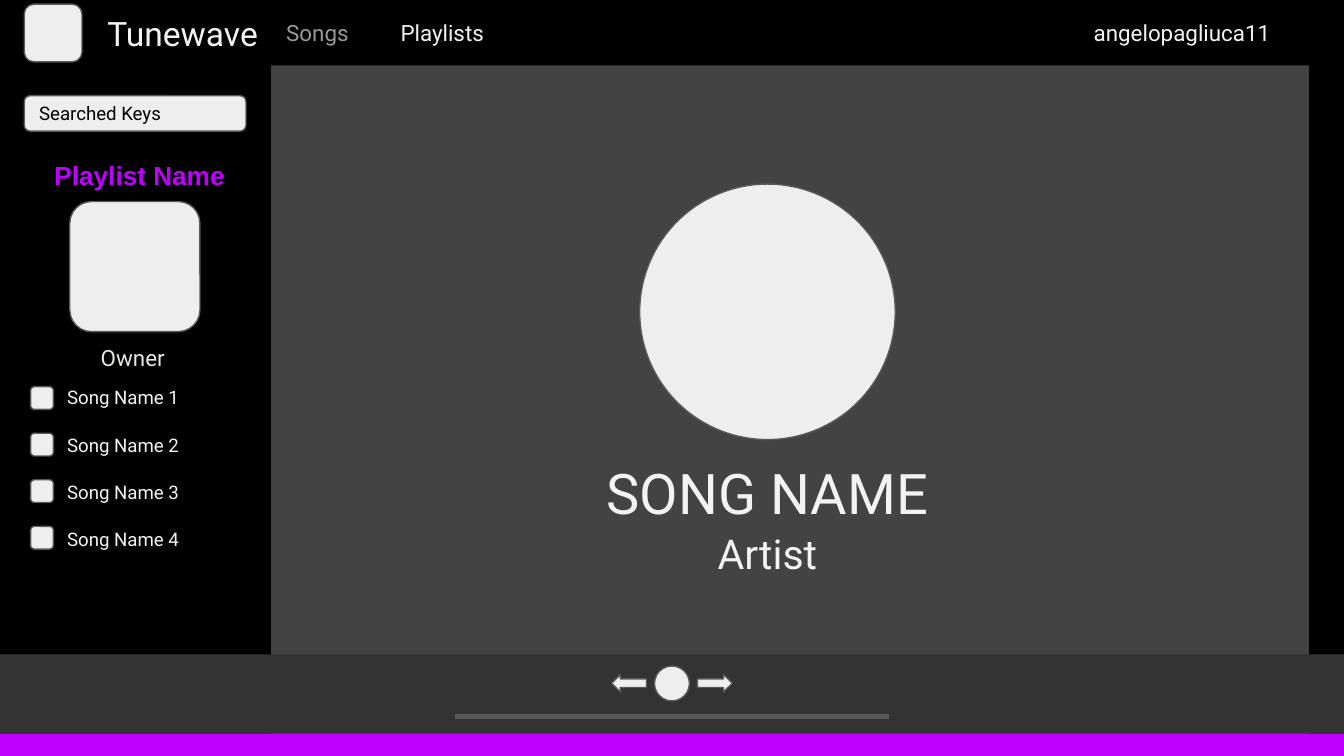
from collections import namedtuple
from dataclasses import dataclass

from lxml.etree import SubElement
from pptx import Presentation
from pptx.dml.color import RGBColor as Color
from pptx.enum.shapes import MSO_CONNECTOR as Line, MSO_SHAPE as Kind
from pptx.enum.text import MSO_ANCHOR as Anchor, MSO_AUTO_SIZE as Fit, PP_ALIGN as Align
from pptx.oxml.ns import qn
from pptx.util import Cm, Pt

Box = namedtuple("Box", "left top width height")
Style = namedtuple("Style", "size color font bold", defaults=("Roboto", False))


@dataclass(frozen=True)
class Theme:
    black: str = "000000"
    canvas: str = "434343"
    player: str = "333333"
    accent: str = "BF00FF"
    light: str = "EEEEEE"
    outline: str = "595959"
    thin: float = 0.75
    thick: float = 3
    brand: Style = Style(18, "F3F3F3")
    tab: Style = Style(12, "F3F3F3")
    muted_tab: Style = Style(12, "999999")
    search: Style = Style(10, "000000")
    playlist: Style = Style(14, "BF00FF", "Arial", True)
    owner: Style = Style(12, "E8E7E3")
    song: Style = Style(10, "F3F3F3")
    headline: Style = Style(30, "F3F3F3")
    artist: Style = Style(22, "F3F3F3")


THEME = Theme()


def set_all(target, values):
    for name, value in values.items():
        setattr(target, name, value)


def within(area, left, top, width, height):
    return Box(area.left + left, area.top + top, width, height)


def lengths(box):
    return [Cm(value) for value in box]


def paint(shape, color):
    shape.fill.solid()
    shape.fill.fore_color.rgb = Color.from_string(color)


def stroke(line, width):
    line.color.rgb = Color.from_string(THEME.outline)
    line.width = Pt(width)


def add_panel(page, box, color):
    panel = page.shapes.add_shape(Kind.RECTANGLE, *lengths(box))
    panel.shadow.inherit = False
    paint(panel, color)
    panel.line.fill.background()


def add_part(page, kind, box):
    part = page.shapes.add_shape(kind, *lengths(box))
    part.shadow.inherit = False
    paint(part, THEME.light)
    stroke(part.line, THEME.thin)
    return part


def write(shape, lines, style, align=Align.LEFT, anchor=Anchor.MIDDLE, gap=0):
    frame = shape.text_frame
    sides = ("margin_left", "margin_top", "margin_right", "margin_bottom")
    set_all(frame, {"word_wrap": True, "auto_size": Fit.NONE, "vertical_anchor": anchor,
                    **dict.fromkeys(sides, Cm(0.25))})
    for index, line in enumerate(lines):
        para = frame.add_paragraph() if index else frame.paragraphs[0]
        set_all(para, {"alignment": align, "space_before": Pt(0), "space_after": Pt(gap)})
        span = para.add_run()
        span.text = line
        set_all(span.font, {"size": Pt(style.size), "name": style.font, "bold": style.bold})
        span.font.color.rgb = Color.from_string(style.color)


def add_label(page, box, text, style, **options):
    write(page.shapes.add_textbox(*lengths(box)), [text], style, **options)


def fill_placeholder(holder, box, lines, style, **options):
    set_all(holder, dict(zip(Box._fields, lengths(box))))
    holder.element.getparent().append(holder.element)
    write(holder, lines, style, **options)
    for para in holder.text_frame.paragraphs:
        layout = para._p.get_or_add_pPr()
        layout.set("marL", "0")
        layout.set("indent", "0")
        SubElement(layout, qn("a:buNone"))


def build_header(page, area):
    add_panel(page, area, THEME.black)
    add_part(page, Kind.ROUNDED_RECTANGLE, within(area, 0.46, 0.08, 1.09, 1.09))
    labels = [
        (1.78, 7.34, "Tunewave", THEME.brand),
        (5.16, 2.13, "Songs", THEME.muted_tab),
        (7.32, 2.13, "Playlists", THEME.tab),
        (20.42, 4.52, "angelopagliuca11", THEME.tab),
    ]
    for left, width, text, style in labels:
        add_label(page, within(area, left, 0.08, width, 1.09), text, style)


def build_sidebar(page, area):
    search = add_part(page, Kind.ROUNDED_RECTANGLE, within(area, 0.46, 1.81, 4.19, 0.67))
    write(search, ["Searched Keys"], THEME.search)
    add_label(page, within(area, 0.38, 2.77, 4.52, 0.66), "Playlist Name",
              THEME.playlist, align=Align.CENTER, anchor=Anchor.TOP)
    add_part(page, Kind.ROUNDED_RECTANGLE, within(area, 1.32, 3.81, 2.46, 2.46))
    add_label(page, within(area, 1.52, 6.25, 1.98, 0.84), "Owner",
              THEME.owner, align=Align.CENTER, anchor=Anchor.TOP)
    songs = [f"Song Name {number}" for number in range(1, 5)]
    for index in range(len(songs)):
        add_part(page, Kind.ROUNDED_RECTANGLE,
                 within(area, 0.58, 7.31 + index * 0.88, 0.43, 0.43))
    fill_placeholder(page.placeholders[1], within(area, 1.02, 7.05, 2.95, 3.6), songs,
                     THEME.song, anchor=Anchor.TOP, gap=13.25)


def build_stage(page, area):
    add_part(page, Kind.OVAL, within(area, 6.97, 2.24, 4.83, 4.83))
    fill_placeholder(page.shapes.title, within(area, 5.97, 7.12, 6.83, 1.9),
                     ["SONG NAME"], THEME.headline, align=Align.CENTER)
    add_label(page, within(area, 5.97, 8.67, 6.83, 1.09), "Artist",
              THEME.artist, align=Align.CENTER)


def build_player(page, area):
    add_panel(page, area, THEME.player)
    middle = area.width / 2
    add_part(page, Kind.OVAL, within(area, middle - 0.33, 0.22, 0.66, 0.66))
    for kind, left in ((Kind.LEFT_ARROW, -1.14), (Kind.RIGHT_ARROW, 0.48)):
        add_part(page, kind, within(area, middle + left, 0.38, 0.66, 0.33))
    height = Cm(area.top + 1.17)
    progress = page.shapes.add_connector(
        Line.STRAIGHT, Cm(middle - 4.11), height, Cm(middle + 4.11), height)
    stroke(progress.line, THEME.thick)
    SubElement(progress.element.spPr, qn("a:effectLst"))


def main():
    deck = Presentation()
    set_all(deck, {"slide_width": Cm(25.4), "slide_height": Cm(14.29)})
    page = deck.slides.add_slide(deck.slide_layouts[1])
    paint(page.background, THEME.canvas)
    sidebar = Box(0, 0, 5.12, 14.29)
    add_panel(page, sidebar, THEME.black)
    add_panel(page, Box(24.74, 0, 0.66, 14.29), THEME.black)
    build_header(page, Box(0, 0, 25.4, 1.24))
    build_sidebar(page, sidebar)
    build_stage(page, Box(5.12, 1.24, 19.62, 11.13))
    build_player(page, Box(0, 12.37, 25.4, 1.5))
    add_panel(page, Box(0, 13.87, 25.4, 0.42), THEME.accent)
    deck.save("out.pptx")


if __name__ == "__main__":
    main()
